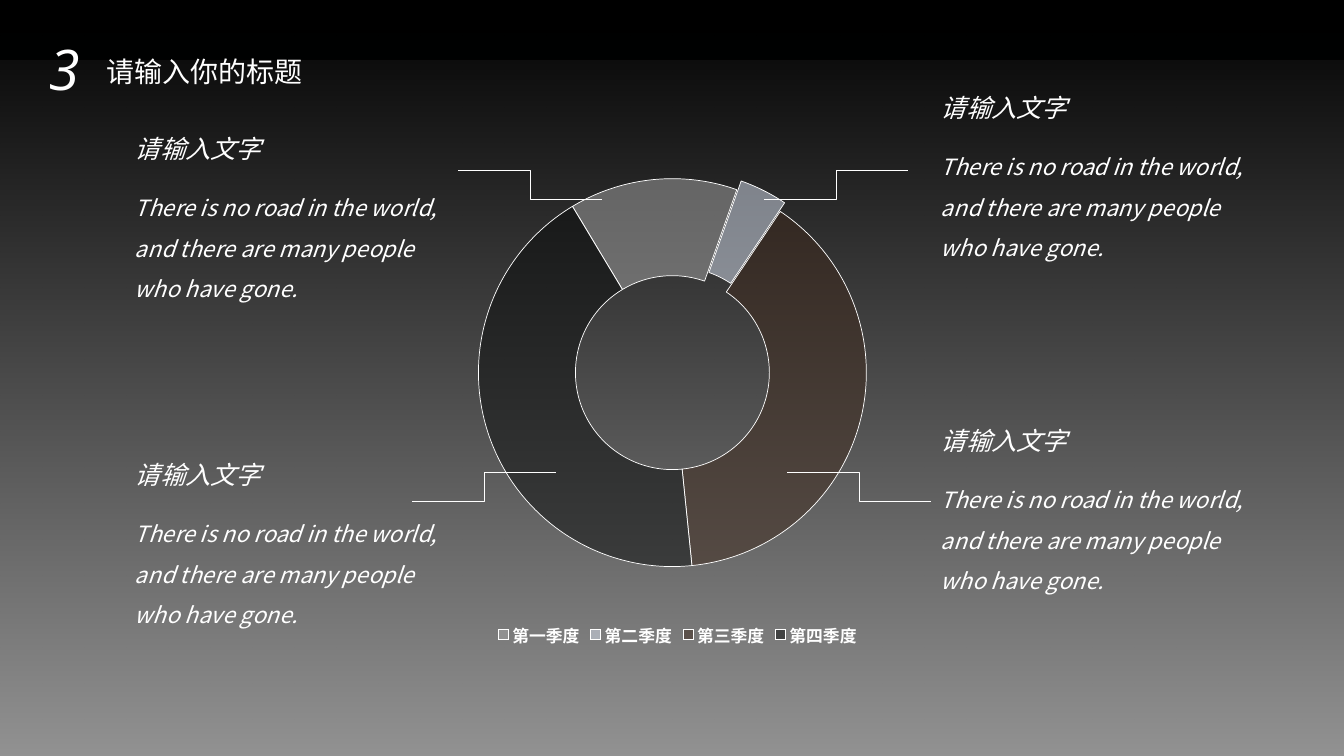
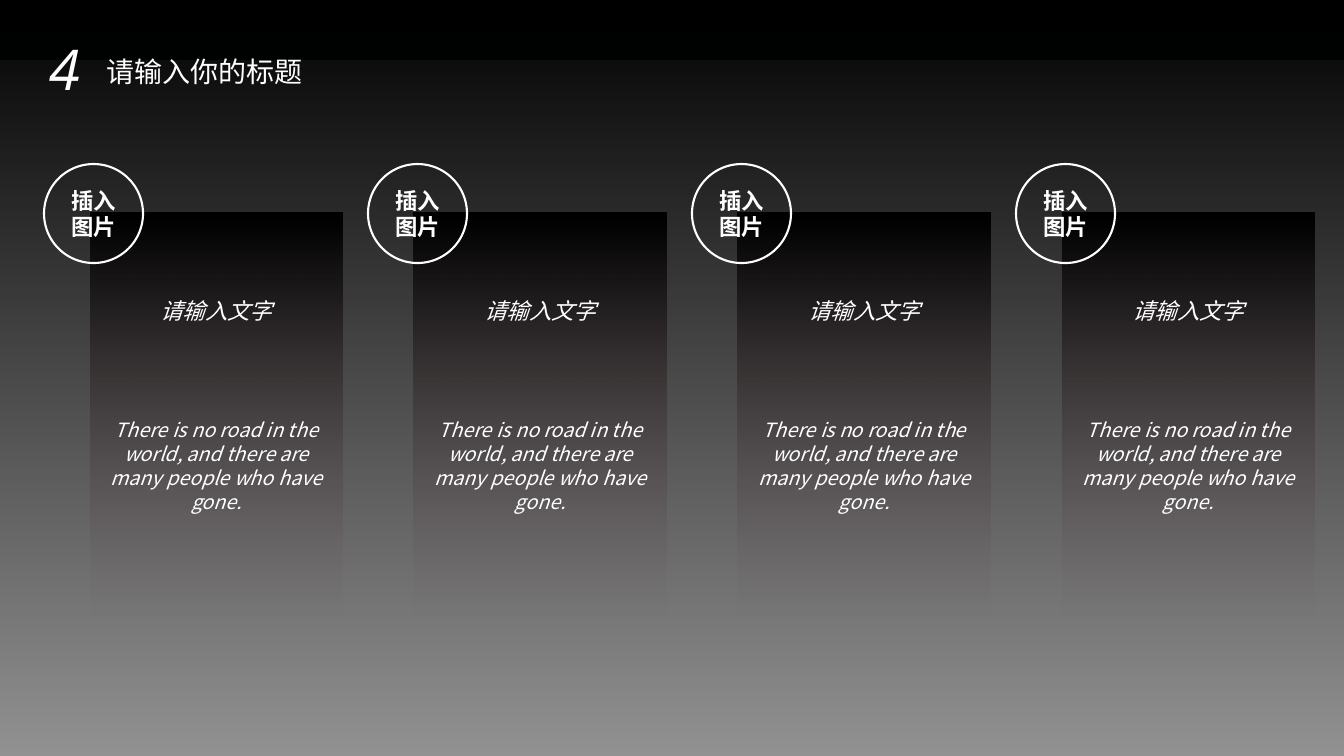
from pptx import Presentation
from pptx import util as u
from pptx.chart.data import CategoryChartData
from pptx.dml.color import RGBColor
from pptx.enum import chart as charts, shapes, text
from pptx.oxml import ns
from pptx.oxml.xmlchemy import OxmlElement

PX = 12192000 / 1344
WIDTH, HEIGHT = 1344, 756
CJK, LATIN = "Noto Sans CJK SC", "Open Sans"
WHITE, BLACK = "FFFFFF", "000000"
BAND = "152022"
BACKDROP = (BLACK, "0000006E")
CARD_FADE = (BLACK, "76626600")
HEADING = "请输入文字"
BODY = "There is no road in the world, and there are many people who have gone."
LEFT, CENTER = text.PP_ALIGN.LEFT, text.PP_ALIGN.CENTER


def paint(fill, *stops):
    """Fill with one colour, or top to bottom with two; RRGGBB or RRGGBBAA."""
    if len(stops) == 1:
        fill.solid()
        colors = [fill.fore_color]
    else:
        fill.gradient()
        fill.gradient_angle = 270
        colors = [stop.color for stop in fill.gradient_stops]
    for color, stop in zip(colors, stops):
        color.rgb = RGBColor.from_string(stop[:6])
        if len(stop) > 6:
            alpha = OxmlElement("a:alpha")
            alpha.set("val", str(round(int(stop[6:], 16) / 255 * 100) * 1000))
            color._color._xClr.append(alpha)


def write(para, words, size, leading=None, align=LEFT, **look):
    """Set one run of white text; size and leading are in points."""
    para.alignment = align
    if leading:
        para.line_spacing = u.Pt(leading)
    span = para.add_run()
    span.text = words
    for name, value in {"name": CJK, "size": u.Pt(size), **look}.items():
        setattr(span.font, name, value)
    paint(span.font.fill, WHITE)


deck = Presentation()
deck.slide_width, deck.slide_height = round(WIDTH * PX), round(HEIGHT * PX)
layout = deck.slide_layouts[5]
ring_page, card_page = pages = [deck.slides.add_slide(layout) for _ in range(2)]

# Shared backdrop, kept on the layout
for index, (height, stops) in enumerate([(60, [BAND]), (HEIGHT, BACKDROP)]):
    panel = ring_page.shapes.add_shape(
        shapes.MSO_SHAPE.RECTANGLE, 0, 0, deck.slide_width, round(height * PX))
    panel.shadow.inherit = False
    panel.line.fill.background()
    paint(panel.fill, *stops)
    panel.element.nvSpPr.cNvPr.id = 20 + index
    layout.shapes.element.insert(2 + index, panel.element)

# Section number and title
for number, page in enumerate(pages, start=3):
    box = page.shapes.add_textbox(*[round(v * PX) for v in (39, 30, 56, 78)])
    box.text_frame.word_wrap = False
    write(box.text_frame.paragraphs[0], str(number), 40, name=LATIN, italic=True)

    title = page.shapes.title
    title.left, title.top, title.width, title.height = [
        round(v * PX) for v in (96, 49, 219, 44)]
    frame = title.text_frame
    frame.word_wrap = False
    frame.auto_size = text.MSO_AUTO_SIZE.NONE
    frame.vertical_anchor = text.MSO_ANCHOR.MIDDLE
    write(frame.paragraphs[0], "请输入你的标题", 20, 24)

# Doughnut chart
data = CategoryChartData()
data.categories = ["第一季度", "第二季度", "第三季度", "第四季度"]
data.add_series("Series 1", (14, 4, 39, 43))
chart = ring_page.shapes.add_chart(
    charts.XL_CHART_TYPE.DOUGHNUT,
    *[round(v * PX) for v in (224, 80, 896, 598)], data).chart
chart.has_title = False
chart.has_legend = True
chart.legend.position = charts.XL_LEGEND_POSITION.BOTTOM
chart.legend.include_in_layout = False
for font, size, color, bold in [(chart.font, 10, BLACK, False),
                                (chart.legend.font, 12, WHITE, True)]:
    font.name, font.size, font.bold = CJK, u.Pt(size), bold
    paint(font.fill, color)

plot = chart.plots[0]
plot.vary_by_categories = True
for index, color in enumerate(["A6A6A680", "DAE3F380", "3E291C80", "090B0B80"]):
    point = plot.series[0].points[index]
    paint(point.format.fill, color)
    paint(point.format.line.fill, WHITE)
    point.format.line.width = u.Pt(0.5)

root = chart.element
for tag, value in [("c:firstSliceAng", 329), ("c:holeSize", 75)]:
    next(root.iter(ns.qn(tag))).set("val", str(value))
explosion = OxmlElement("c:explosion")
explosion.set("val", "10")
second_point = list(root.iter(ns.qn("c:dPt")))[1]
second_point.find(ns.qn("c:spPr")).addprevious(explosion)

plot_place = {"layoutTarget": "inner", "xMode": "edge", "yMode": "edge",
              "x": 0.284, "y": 0.165, "w": 0.433, "h": 0.649}
legend_place = {"xMode": "edge", "yMode": "edge", "x": 0.3, "y": 0.9}
for tag, position, place in [("c:plotArea", 0, plot_place),
                             ("c:legend", 1, legend_place)]:
    area = next(root.iter(ns.qn(tag)))
    for old in area.findall(ns.qn("c:layout")):
        area.remove(old)
    arrangement, manual = OxmlElement("c:layout"), OxmlElement("c:manualLayout")
    arrangement.append(manual)
    for name, value in place.items():
        setting = OxmlElement(f"c:{name}")
        setting.set("val", str(value))
        manual.append(setting)
    area.insert(position, arrangement)

# Captions around the ring
for left, top in [(931, 87), (931, 420), (125, 128), (125, 454)]:
    for drop, width, height, words, size, leading, wrap in [
            (0, 147, 40, HEADING, 18, 21.6, False),
            (48, 334, 128, BODY, 16, 28.8, True)]:
        box = ring_page.shapes.add_textbox(
            *[round(v * PX) for v in (left, top + drop, width, height)])
        box.text_frame.word_wrap = wrap
        write(box.text_frame.paragraphs[0], words, size, leading, italic=True)

# Leader lines
for ends in [(412, 501, 556, 472), (764, 199, 908, 170),
             (602, 199, 458, 170), (931, 501, 787, 472)]:
    leader = ring_page.shapes.add_connector(
        shapes.MSO_CONNECTOR.ELBOW, *[round(v * PX) for v in ends])
    paint(leader.line.fill, WHITE)
    leader.line.width = u.Pt(0.5)
    leader.element.spPr.append(OxmlElement("a:effectLst"))

# Four cards, each with a round badge
for column in range(4):
    left = 90 + 324 * column
    group = card_page.shapes.add_group_shape()
    card = group.shapes.add_shape(
        shapes.MSO_SHAPE.RECTANGLE, *[round(v * PX) for v in (left, 213, 253, 405)])
    badge = group.shapes.add_shape(
        shapes.MSO_SHAPE.OVAL, *[round(v * PX) for v in (left - 46, 164, 99, 99)])
    for shape in (card, badge):
        shape.shadow.inherit = False
        shape.text_frame.word_wrap = True

    paint(card.fill, *CARD_FADE)
    card.line.fill.background()
    frame = card.text_frame
    frame.vertical_anchor = text.MSO_ANCHOR.TOP
    frame.margin_top = round(84 * PX)
    write(frame.paragraphs[0], HEADING, 16, 19.2, CENTER, italic=True)
    para = frame.add_paragraph()
    para.space_before = u.Pt(67)
    write(para, BODY, 14, 17, CENTER, italic=True)

    badge.fill.background()
    paint(badge.line.fill, WHITE)
    badge.line.width = u.Pt(1.5)
    badge.text_frame.vertical_anchor = text.MSO_ANCHOR.MIDDLE
    write(badge.text_frame.paragraphs[0], "插入图片", 16, 19.2, CENTER, bold=True)

# East Asian glyphs use the same typeface as the Latin ones
for tree in (ring_page.element, card_page.element, root):
    for latin in list(tree.iter(ns.qn("a:latin"))):
        east_asian = OxmlElement("a:ea")
        east_asian.set("typeface", latin.get("typeface"))
        latin.addnext(east_asian)

deck.save("out.pptx")
